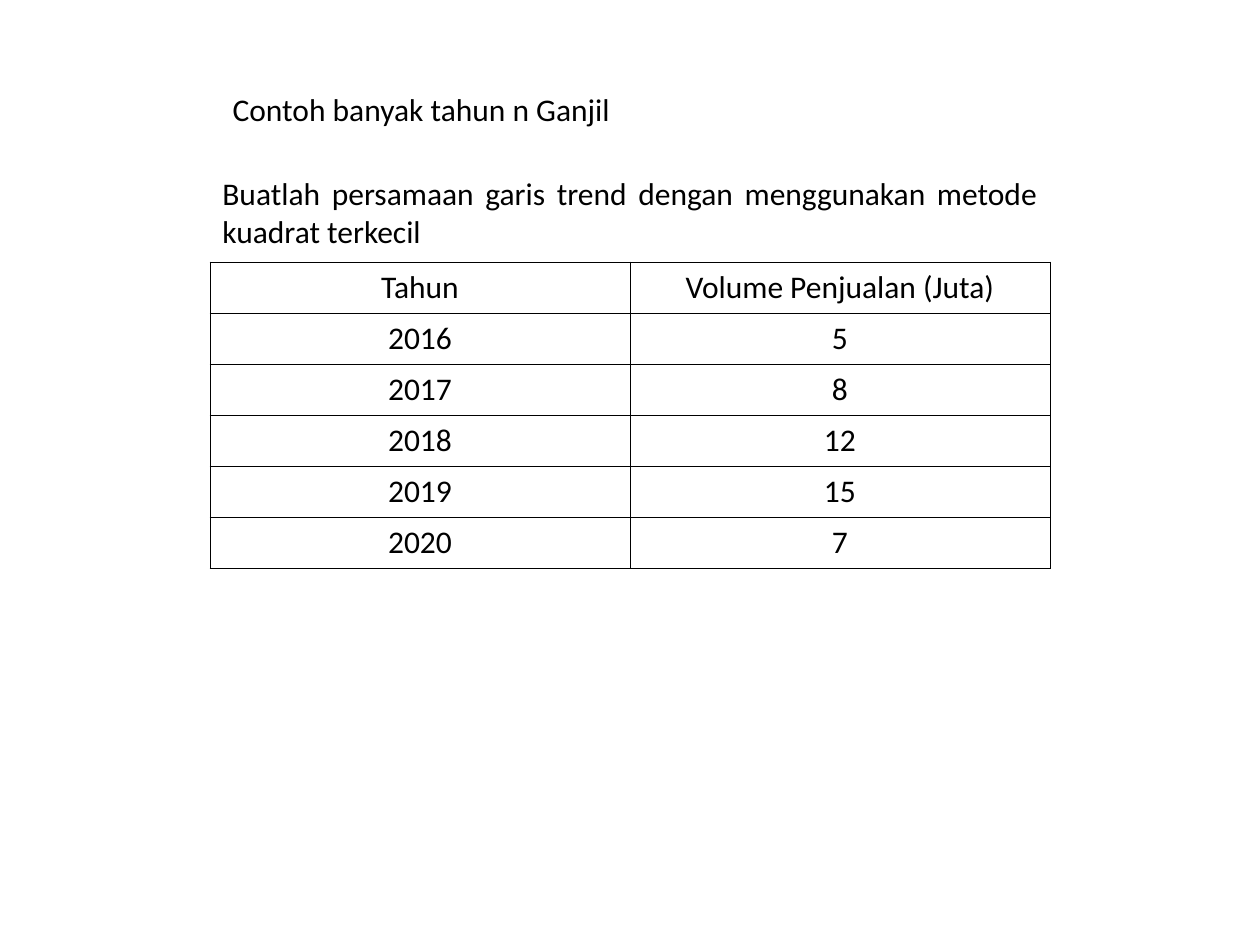
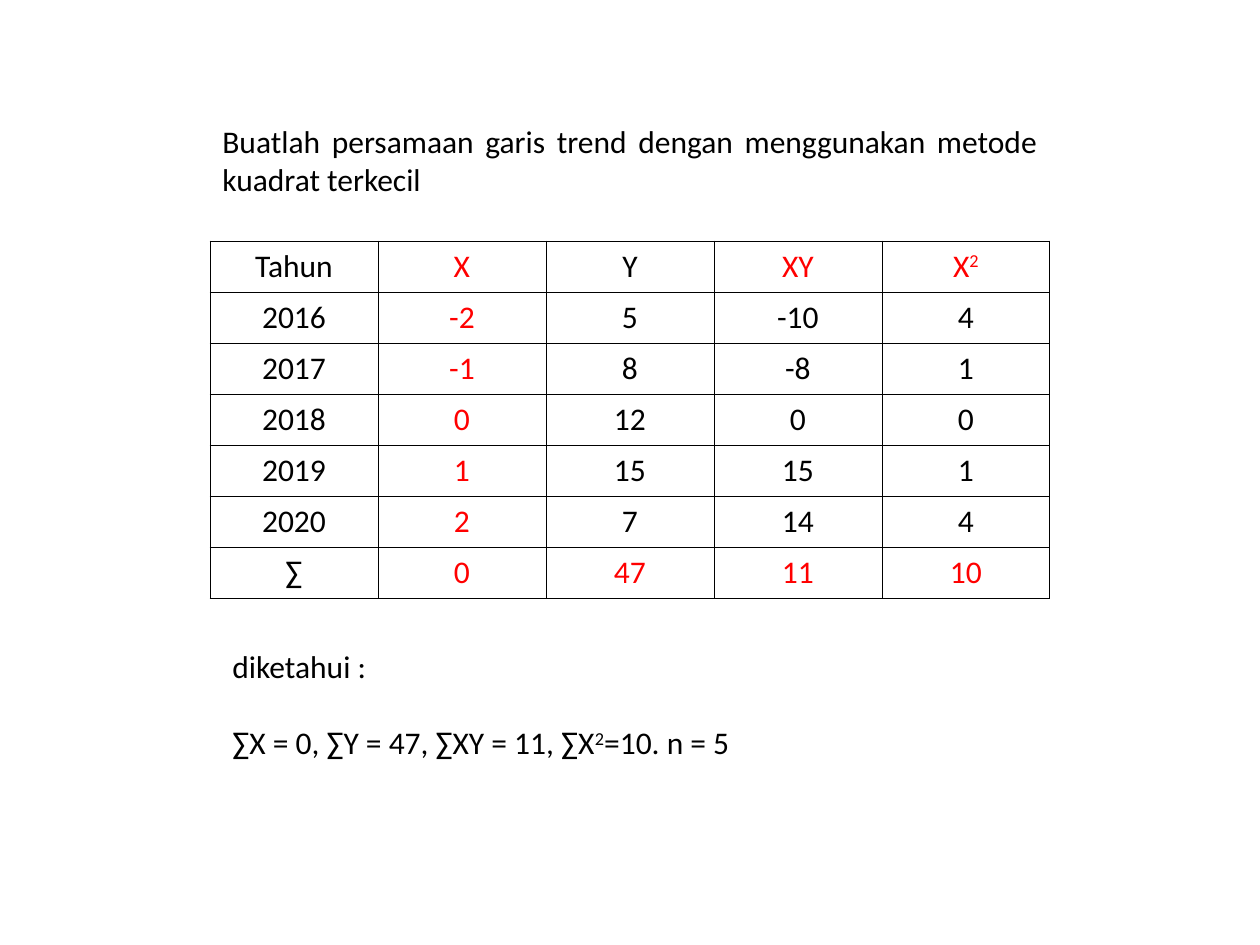
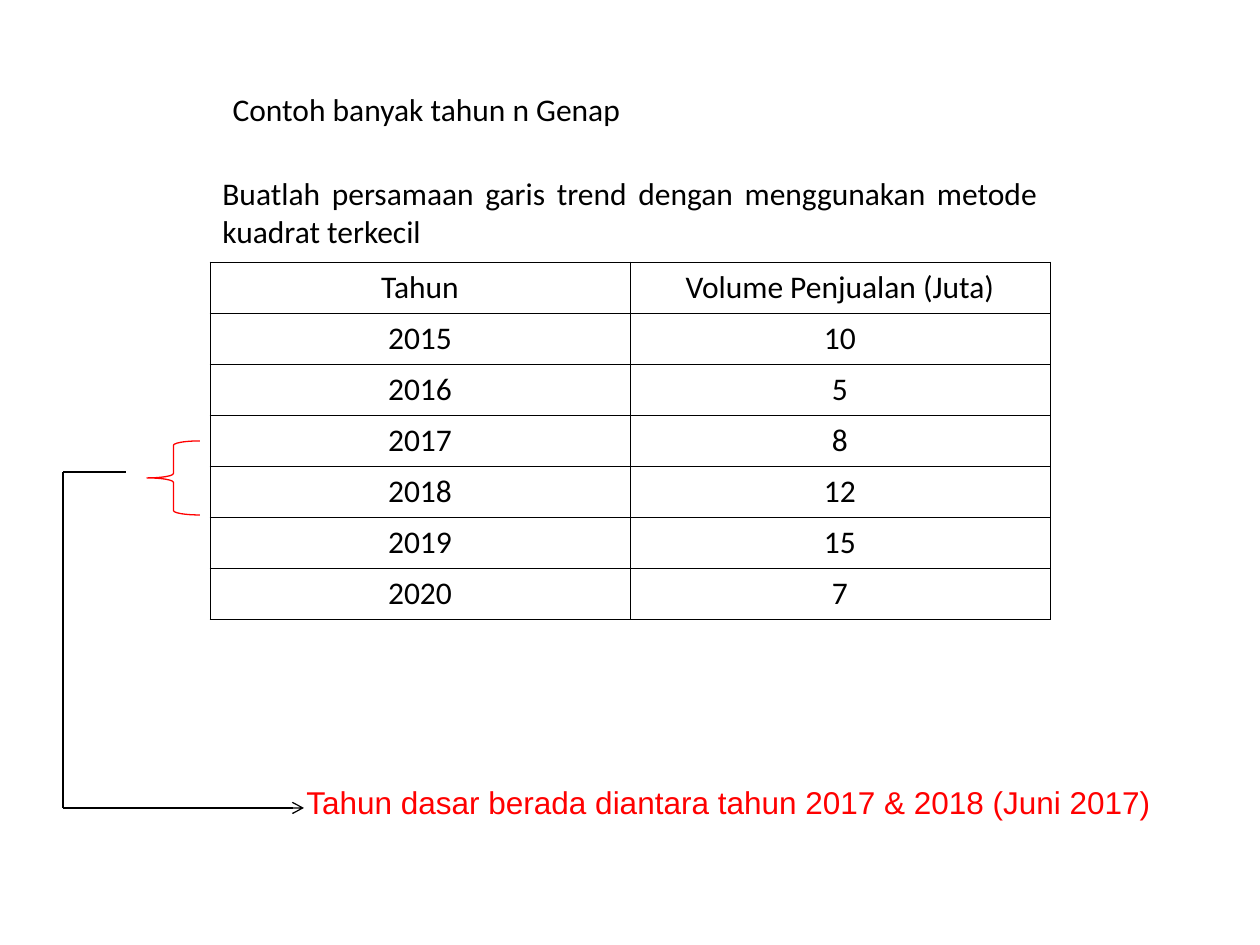
"""Build three slides on the least squares trend line, for odd and even year counts."""
from lxml.etree import SubElement
from pptx import Presentation
from pptx.dml.color import RGBColor
from pptx.enum.shapes import MSO_CONNECTOR, MSO_SHAPE
from pptx.enum.text import MSO_ANCHOR, MSO_AUTO_SIZE, PP_ALIGN
from pptx.oxml import parse_xml
from pptx.oxml.ns import nsdecls, qn
from pptx.util import Pt

PX = 914400 // 126
BLACK = RGBColor(0, 0, 0)
RED = RGBColor(255, 0, 0)
LEFT, WIDE, ROW = 210, 840, 51
FRAME = {"word_wrap": True, "auto_size": MSO_AUTO_SIZE.NONE,
         "vertical_anchor": MSO_ANCHOR.TOP}
FONT = {"size": Pt(18), "bold": False}
TASK = "Buatlah persamaan garis trend dengan menggunakan metode kuadrat terkecil"


def write(para, text, ink=BLACK, face="Calibri", align=PP_ALIGN.LEFT):
    para.alignment = align
    for spot, part in enumerate(text.split("^")):
        if part:
            run = para.add_run()
            run.text = part
            for key, value in {**FONT, "name": face}.items():
                setattr(run.font, key, value)
            run.font.color.rgb = ink
            if spot % 2:
                run.font._element.set("baseline", "30000")


def grid(slide, top, rows, hot=()):
    size = len(rows), len(rows[0])
    table = slide.shapes.add_table(*size, LEFT * PX, top * PX, WIDE * PX, size[0] * ROW * PX).table
    table.first_row = table.horz_banding = False
    for y, line in enumerate(rows):
        for x, value in enumerate(line):
            cell = table.cell(y, x)
            ink = RED if (y, x) in hot else BLACK
            write(cell.text_frame.paragraphs[0], str(value), ink, align=PP_ALIGN.CENTER)
            cell.fill.background()
            for spot, side in enumerate(("lnL", "lnR", "lnT", "lnB")):
                edge = parse_xml(
                    f'<a:{side} {nsdecls("a")} w="5715"><a:solidFill>'
                    f'<a:srgbClr val="{BLACK}"/></a:solidFill></a:{side}>')
                cell._tc.get_or_add_tcPr().insert(spot, edge)


deck = Presentation()
deck.slide_width, deck.slide_height = 1260 * PX, 945 * PX
odd, sums, even = [deck.slides.add_slide(deck.slide_layouts[n]) for n in (5, 6, 5)]

for slide, kind in ((odd, "Ganjil"), (even, "Genap")):
    title = slide.shapes.title
    for key, value in zip(("left", "top", "width", "height"), (220, 84, 494, 51)):
        setattr(title, key, value * PX)
    for key, value in FRAME.items():
        setattr(title.text_frame, key, value)
    write(title.text_frame.paragraphs[0], f"Contoh banyak tahun n {kind}")

sales = {2015: 10, 2016: 5, 2017: 8, 2018: 12, 2019: 15, 2020: 7}
head = ("Tahun", "Volume Penjualan (Juta)")
pairs = list(sales.items())
grid(odd, 262, [head, *pairs[1:]])
grid(even, 262, [head, *pairs])

body = [(year, year - 2018, y, (year - 2018) * y, (year - 2018) ** 2) for year, y in pairs[1:]]
total = ["∑"] + [sum(col) for col in list(zip(*body))[1:]]
hot = {(y, 1) for y in range(7)} | {(0, 3), (0, 4)} | {(6, x) for x in range(1, 5)}
grid(sums, 241, [("Tahun", "X", "Y", "XY", "X^2^"), *body, total], hot)

known = ["diketahui :", "∑X = {}, ∑Y = {}, ∑XY = {}, ∑X^2^={}. n = 5".format(*total[1:])]
base = ["Tahun dasar berada diantara tahun 2017 & 2018 (Juni 2017)"]
full = PP_ALIGN.JUSTIFY
for slide, box, lines, style in (
    (odd, (LEFT, 168, WIDE, 88), [TASK], {"align": full}),
    (sums, (LEFT, 116, WIDE, 88), [TASK], {"align": full}),
    (even, (LEFT, 168, WIDE, 88), [TASK], {"align": full}),
    (sums, (220, 641, WIDE, 126), known, {"align": full}),
    (even, (294, 777, 966, 51), base, {"ink": RED, "face": "Arial"}),
):
    frame = slide.shapes.add_textbox(*[n * PX for n in box]).text_frame
    for key, value in FRAME.items():
        setattr(frame, key, value)
    for spot, line in enumerate(lines):
        para = frame.add_paragraph() if spot else frame.paragraphs[0]
        para.space_before = Pt(22 * spot)
        write(para, line, **style)

brace = even.shapes.add_shape(MSO_SHAPE.LEFT_BRACE, *[n * PX for n in (147, 441, 53, 74)])
brace.shadow.inherit = False
brace.fill.background()
brace.line.color.rgb = RED
brace.line.width = Pt(0.75)

bends = [(126, 472), (63, 472), (63, 808), (304, 808)]
for start, end in zip(bends, bends[1:]):
    link = even.shapes.add_connector(MSO_CONNECTOR.STRAIGHT, *[n * PX for n in start + end])
    link.line.color.rgb = BLACK
    link.line.width = Pt(0.75)
    if end == bends[-1]:
        SubElement(link.line._get_or_add_ln(), qn("a:tailEnd"), type="arrow")
    SubElement(link._element.spPr, qn("a:effectLst"))

deck.save("out.pptx")
